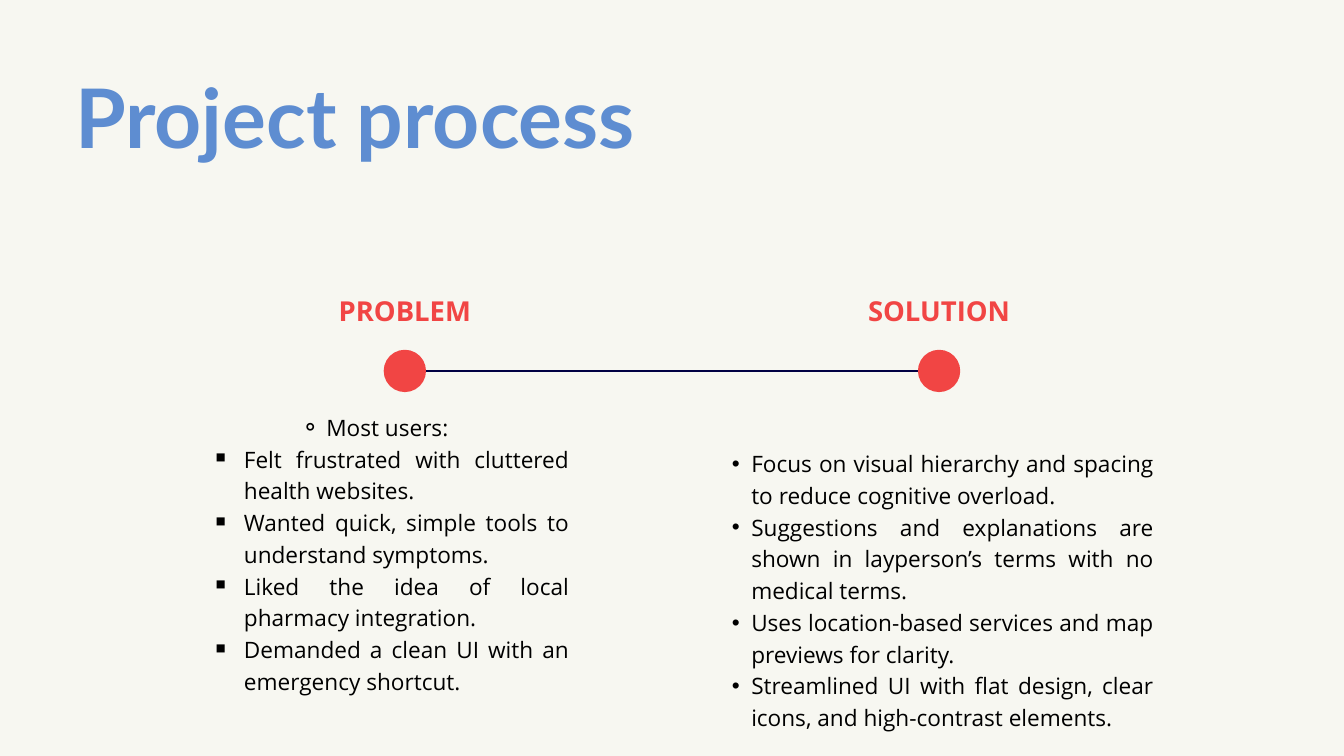
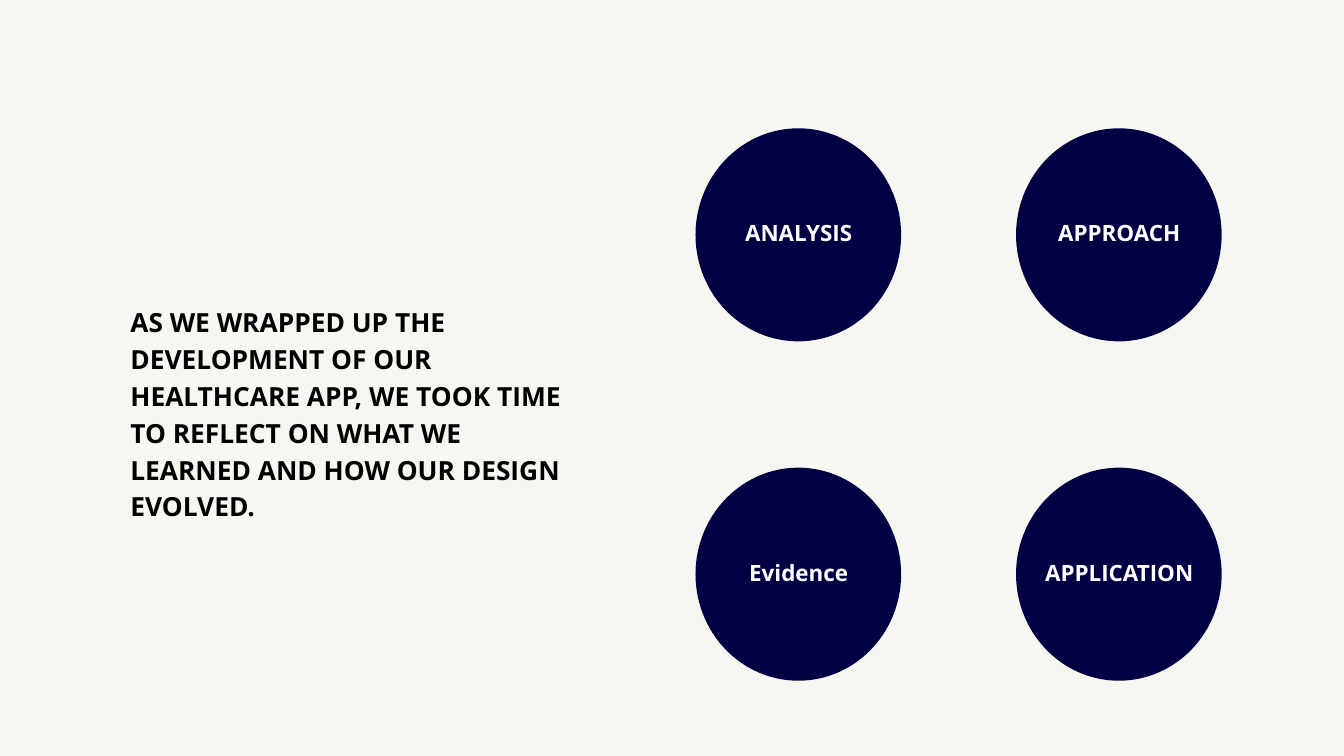
from lxml import etree
from pptx import Presentation
from pptx import util as u
from pptx.dml import color
from pptx.enum import shapes, text
from pptx.oxml import ns

COLORS = {"paper": "F7F7F1", "blue": "5E8DD1", "navy": "010043",
          "red": "F14544", "black": "000000", "white": "FFFFFF"}
TITLE_FONT, BODY_FONT = "Lato", "Open Sans"
LEFT, CENTER, JUSTIFY = text.PP_ALIGN.LEFT, text.PP_ALIGN.CENTER, text.PP_ALIGN.JUSTIFY

MOST_USERS = {"level": 2, "margin": 1.15, "indent": -0.38, "mark": "⚬"}
FINDING = {"level": 3, "margin": 1.72, "indent": -0.43, "mark": "￭"}
ANSWER = {"level": 1, "margin": 0.57, "indent": -0.29, "mark": "•"}

PROBLEM = [
    ("Most users:", CENTER, MOST_USERS),
    ("Felt frustrated with cluttered health websites.", JUSTIFY, FINDING),
    ("Wanted quick, simple tools to understand symptoms.", JUSTIFY, FINDING),
    ("Liked the idea of local pharmacy integration.", JUSTIFY, FINDING),
    ("Demanded a clean UI with an emergency shortcut.", JUSTIFY, FINDING),
]
SOLUTION = [
    ("Focus on visual hierarchy and spacing to reduce cognitive overload.", JUSTIFY, ANSWER),
    ("Suggestions and explanations are shown in layperson’s terms with no medical terms.",
     JUSTIFY, ANSWER),
    ("Uses location-based services and map previews for clarity.", JUSTIFY, ANSWER),
    ("Streamlined UI with flat design, clear icons, and high-contrast elements.",
     JUSTIFY, ANSWER),
]
REFLECTION = ("AS WE WRAPPED UP THE DEVELOPMENT OF OUR HEALTHCARE APP, WE TOOK TIME "
              "TO REFLECT ON WHAT WE LEARNED AND HOW OUR DESIGN EVOLVED.")
THEMES = [["ANALYSIS", "APPROACH"], ["Evidence", "APPLICATION"]]


def rgb(name):
    """Return the named palette colour."""
    return color.RGBColor.from_string(COLORS[name])


def inches(box):
    """Turn a box of numbers into lengths."""
    return [u.Inches(value) for value in box]


def add_bullet(paragraph, level, margin, indent, mark):
    """Give a paragraph a hanging bullet."""
    paragraph.level = level
    properties = paragraph._p.get_or_add_pPr()
    properties.set("marL", str(u.Inches(margin)))
    properties.set("indent", str(u.Inches(indent)))
    etree.SubElement(properties, ns.qn("a:buFont"), typeface="Arial")
    etree.SubElement(properties, ns.qn("a:buChar"), char=mark)


def write(parent, box, content, size, leading, ink="black", font=BODY_FONT,
          bold=False, align=LEFT, inset=0, middle=False):
    """Write a string, or a list of (words, alignment, bullet), in a text box."""
    frame = parent.add_textbox(*inches(box)).text_frame
    frame.word_wrap = True
    frame.margin_left = frame.margin_right = u.Inches(inset)
    frame.margin_top = frame.margin_bottom = u.Inches(inset)
    if middle:
        frame.vertical_anchor = text.MSO_ANCHOR.MIDDLE
    else:
        frame.auto_size = text.MSO_AUTO_SIZE.SHAPE_TO_FIT_TEXT
    lines = [(content, align, None)] if isinstance(content, str) else content
    for number, (words, alignment, bullet) in enumerate(lines):
        paragraph = frame.add_paragraph() if number else frame.paragraphs[0]
        paragraph.alignment = alignment
        paragraph.line_spacing = u.Pt(leading)
        if bullet:
            add_bullet(paragraph, **bullet)
        run = paragraph.add_run()
        run.text = words
        run.font.name, run.font.size, run.font.bold = font, u.Pt(size), bold
        run.font.color.rgb = rgb(ink)


def add_disc(parent, box, fill):
    """Draw a plain filled ellipse."""
    disc = parent.add_shape(shapes.MSO_SHAPE.OVAL, *inches(box))
    disc.shadow.inherit = False
    disc.fill.solid()
    disc.fill.fore_color.rgb = rgb(fill)
    disc.line.fill.background()


def add_page(deck):
    """Add a blank slide on the paper colour."""
    page = deck.slides.add_slide(deck.slide_layouts[6])
    page.background.fill.solid()
    page.background.fill.fore_color.rgb = rgb("paper")
    return page


def add_track(page, left, top, length, dot):
    """Draw the line from problem to solution with a dot beyond each end."""
    track = page.shapes.add_connector(
        shapes.MSO_CONNECTOR.STRAIGHT, *inches((left, top, left + length, top)))
    track.line.color.rgb = rgb("navy")
    track.line.width = u.Pt(3)
    etree.SubElement(track._element.spPr, ns.qn("a:effectLst"))
    for dot_left in (left - dot, left + length):
        add_disc(page.shapes, (dot_left, top - dot / 2, dot, dot), "red")


def add_stage(page, heading_box, heading, points_box, points):
    """Write one stage: its heading and its bulleted points."""
    write(page.shapes, heading_box, heading, 29.4, 41.1, ink="red", bold=True, align=CENTER)
    write(page.shapes, points_box, points, 24.2, 34)


def add_theme(page, box, name):
    """Draw one theme: a disc with its name inside."""
    left, top, width, _ = box
    theme = page.shapes.add_group_shape()
    add_disc(theme.shapes, box, "navy")
    write(theme.shapes, (left + 0.29, top + 0.16, width - 0.57, 2.72), name, 24, 33.6,
          ink="white", bold=True, align=CENTER, inset=0.06, middle=True)


def build_process(deck):
    """Build the slide that leads from problem to solution."""
    page = add_page(deck)
    write(page.shapes, (1.12, 1.01, 11.25, 1.58), "Project process", 88, 103.8,
          ink="blue", font=TITLE_FONT, bold=True)
    add_track(page, 6.34, 5.52, 7.32, 0.63)
    add_stage(page, (2.66, 4.3, 6.73, 0.54), "PROBLEM", (1.91, 6.09, 6.56, 4.66), PROBLEM)
    add_stage(page, (10.61, 4.3, 6.73, 0.54), "SOLUTION", (10.61, 6.63, 6.56, 4.66), SOLUTION)


def build_reflection(deck):
    """Build the slide with the reflection and its grid of themes."""
    page = add_page(deck)
    for row, names in enumerate(THEMES):
        for column, name in enumerate(names):
            add_theme(page, (10.35 + 4.77 * column, 1.91 + 5.05 * row, 3.06, 3.17), name)
    write(page.shapes, (1.94, 4.48, 6.52, 3.22), REFLECTION, 28.2, 39.5, bold=True)


def main():
    """Build and save the deck."""
    deck = Presentation()
    deck.slide_width, deck.slide_height = inches((20, 11.25))
    build_process(deck)
    build_reflection(deck)
    deck.save("out.pptx")


if __name__ == "__main__":
    main()
